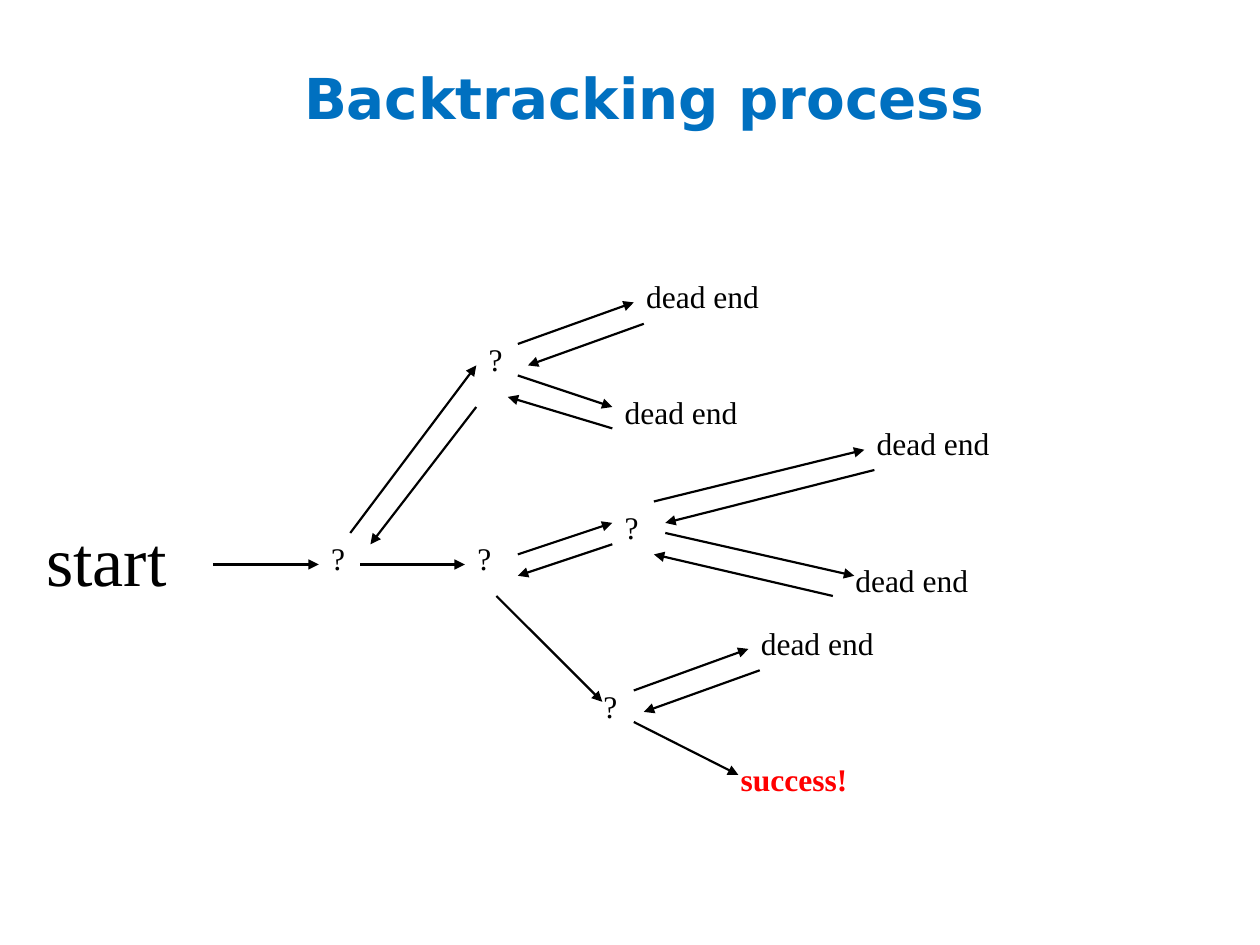
from pptx import Presentation
from pptx.dml.color import RGBColor
from pptx.enum.shapes import MSO_CONNECTOR
from pptx.enum.text import MSO_ANCHOR, MSO_AUTO_SIZE, PP_ALIGN
from pptx.oxml.ns import qn
from pptx.util import Inches, Pt
from lxml.etree import SubElement

BLUE = RGBColor(0x00, 0x70, 0xC0)
BLACK = RGBColor(0x00, 0x00, 0x00)
RED = RGBColor(0xFF, 0x00, 0x00)

TOP, LEFT, BOTTOM = 0, 1, 2

CHOICES = {
    "first": (2.53, 4.23, 0.5),
    "upper": (3.78, 2.65, 0.42),
    "middle": (3.69, 4.23, 0.5),
    "right": (4.86, 3.98, 0.5),
    "lower": (4.69, 5.4, 0.5),
}
DEAD_ENDS = {
    "upper high": (5.03, 2.15),
    "upper low": (4.86, 3.07),
    "right high": (6.86, 3.32),
    "right low": (6.69, 4.4),
    "lower high": (5.94, 4.9),
}
FORWARD_ARROWS = [
    ((1.69, 4.48), (2.53, 4.48), None, ("first", LEFT)),
    ((2.78, 4.23), (3.78, 2.9), ("first", TOP), ("upper", LEFT)),
    ((2.86, 4.48), (3.69, 4.48), None, ("middle", LEFT)),
    ((4.11, 2.73), (5.03, 2.4), None, ("upper high", LEFT)),
    ((4.11, 2.98), (4.86, 3.23), None, None),
    ((4.11, 4.4), (4.86, 4.15), None, None),
    ((5.19, 3.98), (6.86, 3.57), None, ("right high", LEFT)),
    ((5.28, 4.23), (6.78, 4.57), None, None),
    ((3.94, 4.73), (4.78, 5.57), ("middle", BOTTOM), None),
    ((5.03, 5.48), (5.94, 5.15), None, ("lower high", LEFT)),
    ((5.03, 5.73), (5.86, 6.15), None, None),
]
RETURN_ARROWS = [
    ((5.11, 2.57), (4.19, 2.9)),
    ((4.86, 3.4), (4.03, 3.15)),
    ((3.78, 3.23), (2.94, 4.32)),
    ((6.94, 3.73), (5.28, 4.15)),
    ((6.61, 4.73), (5.19, 4.4)),
    ((4.86, 4.32), (4.11, 4.57)),
    ((6.03, 5.32), (5.11, 5.65)),
]


def format_font(font, name, size, color, bold=False):
    font.name = name
    font.size = Pt(size)
    font.color.rgb = color
    font.bold = bold


def add_title(slide, text):
    title = slide.shapes.title
    title.left, title.top = Inches(0.61), Inches(0.45)
    title.width, title.height = Inches(9), Inches(1.25)
    text_frame = title.text_frame
    text_frame.text = text
    text_frame.auto_size = MSO_AUTO_SIZE.NONE
    text_frame.vertical_anchor = MSO_ANCHOR.TOP
    paragraph = text_frame.paragraphs[0]
    paragraph.alignment = PP_ALIGN.CENTER
    format_font(paragraph.runs[0].font, "DejaVu Sans", 32.2, BLUE, True)


def add_label(slide, text, left, top, width=1.75, height=0.5, size=18, color=BLACK, bold=False):
    label = slide.shapes.add_textbox(Inches(left), Inches(top), Inches(width), Inches(height))
    text_frame = label.text_frame
    text_frame.word_wrap = True
    text_frame.text = text
    format_font(text_frame.paragraphs[0].runs[0].font, "Times New Roman", size, color, bold)
    return label


def add_arrow(slide, start, end):
    points = [Inches(value) for value in (*start, *end)]
    arrow = slide.shapes.add_connector(MSO_CONNECTOR.STRAIGHT, *points)
    arrow.line.color.rgb = BLACK
    arrow.line.width = Pt(1.25)
    SubElement(arrow.line._get_or_add_ln(), qn("a:tailEnd"), type="triangle")
    SubElement(arrow._element.spPr, qn("a:effectLst"))
    return arrow


def add_forward_arrow(slide, labels, start, end, source, target):
    arrow = add_arrow(slide, start, end)
    if source:
        name, side = source
        arrow.begin_connect(labels[name], side)
    if target:
        name, side = target
        arrow.end_connect(labels[name], side)


def main():
    presentation = Presentation()
    presentation.slide_width = Inches(10)
    presentation.slide_height = Inches(7.5)
    slide = presentation.slides.add_slide(presentation.slide_layouts[5])

    add_title(slide, "Backtracking process")
    add_label(slide, "start", 0.27, 4.05, 1.58, 0.77, size=40)
    labels = {name: add_label(slide, "?", *place) for name, place in CHOICES.items()}
    for name, place in DEAD_ENDS.items():
        labels[name] = add_label(slide, "dead end", *place)
    add_label(slide, "success!", 5.78, 5.98, color=RED, bold=True)

    for forward_arrow in FORWARD_ARROWS:
        add_forward_arrow(slide, labels, *forward_arrow)
    for start, end in RETURN_ARROWS:
        add_arrow(slide, start, end)

    presentation.save("out.pptx")


if __name__ == "__main__":
    main()
